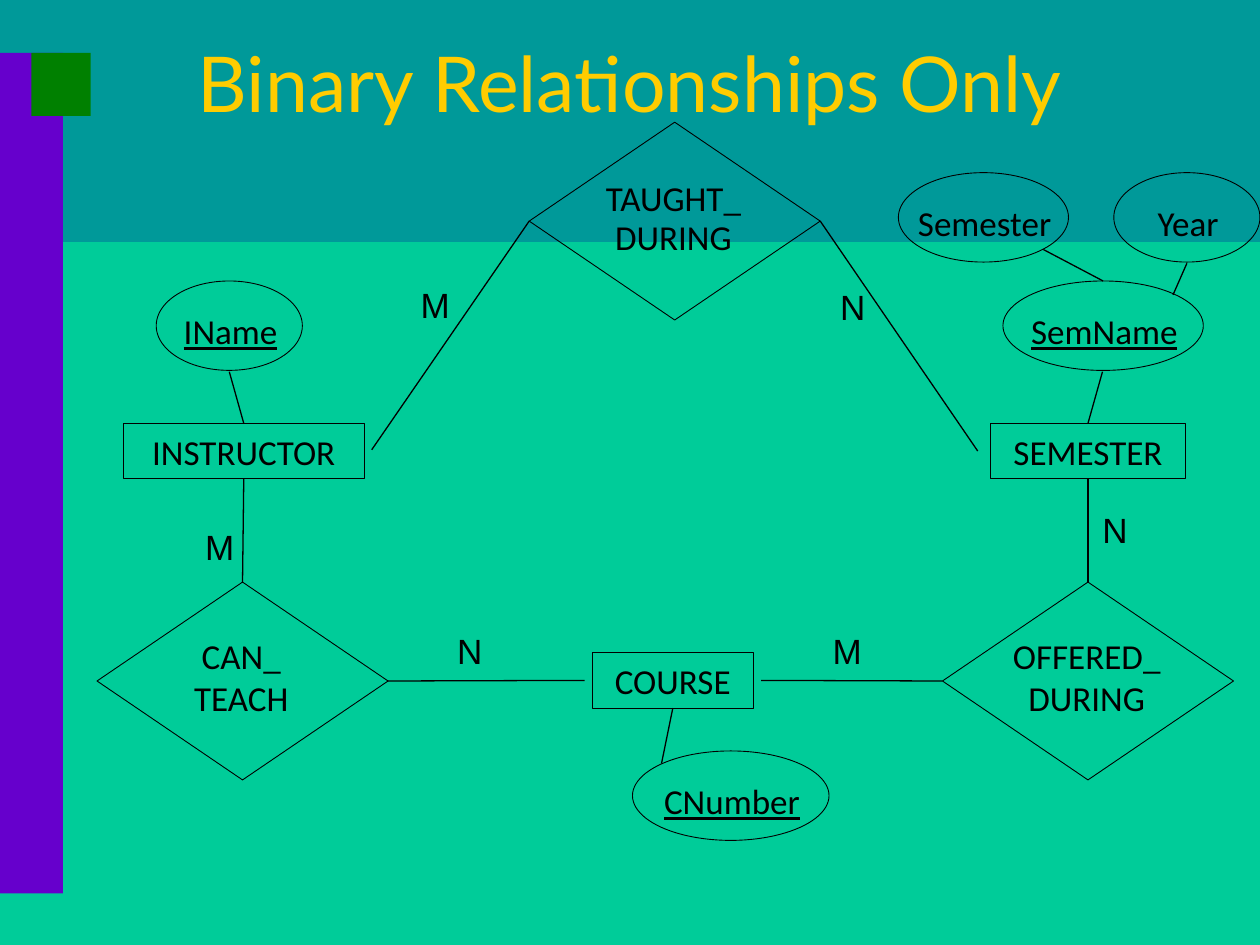
from dataclasses import dataclass

from lxml.etree import SubElement
from pptx import Presentation
from pptx.dml.color import RGBColor
from pptx.enum.shapes import MSO_CONNECTOR, MSO_SHAPE
from pptx.enum.text import MSO_ANCHOR, MSO_AUTO_SIZE, PP_ALIGN
from pptx.oxml.ns import qn
from pptx.util import Inches, Pt


@dataclass(frozen=True)
class Theme:
    background: RGBColor = RGBColor(0x00, 0xCC, 0x99)
    band: RGBColor = RGBColor(0x00, 0x99, 0x99)
    sidebar: RGBColor = RGBColor(0x66, 0x00, 0xCC)
    accent: RGBColor = RGBColor(0x00, 0x80, 0x00)
    title: RGBColor = RGBColor(0xFF, 0xCC, 0x00)
    ink: RGBColor = RGBColor(0x00, 0x00, 0x00)
    title_font: str = "Lato"
    label_font: str = "Calibri"
    cardinality_font: str = "Arial"
    title_size: Pt = Pt(44)
    text_size: Pt = Pt(20)
    outline: Pt = Pt(0.5)
    link: Pt = Pt(0.75)


THEME = Theme()
TOP, LEFT, BOTTOM, RIGHT = range(4)
LABEL_HEIGHT = 0.44


def inches(*values):
    return [Inches(value) for value in values]


def format_text(shape, font_name, alignment=PP_ALIGN.CENTER,
                size=THEME.text_size, color=THEME.ink, underline=None):
    for paragraph in shape.text_frame.paragraphs:
        paragraph.alignment = alignment
        for run in paragraph.runs:
            run.font.name = font_name
            run.font.size = size
            run.font.color.rgb = color
            run.font.underline = underline


def add_block(slide, box, color):
    """Plain filled rectangle of the slide design."""
    shape = slide.shapes.add_shape(MSO_SHAPE.RECTANGLE, *inches(*box))
    shape.shadow.inherit = False
    shape.fill.solid()
    shape.fill.fore_color.rgb = color
    shape.line.fill.background()


def add_outline(shapes, preset, box):
    shape = shapes.add_shape(preset, *inches(*box))
    shape.shadow.inherit = False
    shape.fill.background()
    shape.line.color.rgb = THEME.ink
    shape.line.width = THEME.outline
    return shape


def add_centered_label(shapes, text, box, width, height, shift_x, shift_y):
    """Text box centred on an outline, with a small optical shift."""
    left, top, outline_width, outline_height = box
    label = shapes.add_textbox(*inches(
        left + (outline_width - width) / 2 + shift_x,
        top + (outline_height - height) / 2 + shift_y, width, height))
    label.text_frame.word_wrap = False
    label.text_frame.vertical_anchor = MSO_ANCHOR.MIDDLE
    label.text_frame.text = text
    return label


def add_entity(slide, name, left, top, width):
    entity = add_outline(slide.shapes, MSO_SHAPE.RECTANGLE,
                         (left, top, width, LABEL_HEIGHT))
    entity.text_frame.word_wrap = False
    entity.text_frame.vertical_anchor = MSO_ANCHOR.MIDDLE
    entity.text_frame.text = name
    format_text(entity, THEME.label_font)
    return entity


def add_relationship(slide, name, left, top, label_width, label_height, spacing):
    group = slide.shapes.add_group_shape()
    box = (left, top, 2.31, 1.57)
    diamond = add_outline(group.shapes, MSO_SHAPE.FLOWCHART_DECISION, box)
    label = add_centered_label(group.shapes, name, box, label_width,
                               label_height, -0.01, -0.02)
    first, second = label.text_frame.paragraphs
    first.line_spacing = 0.8
    second.line_spacing = spacing
    second.space_before = Pt(12.5)
    format_text(label, THEME.label_font)
    return diamond


def add_attribute(slide, name, left, top, width, label_width, is_key):
    group = slide.shapes.add_group_shape()
    box = (left, top, width, 0.71)
    label = add_centered_label(group.shapes, name, box, label_width,
                               LABEL_HEIGHT, 0.01, 0.04)
    format_text(label, THEME.label_font, underline=is_key or None)
    return add_outline(group.shapes, MSO_SHAPE.OVAL, box)


def add_link(slide, start, end, begin_joint=None, end_joint=None):
    """Straight line; a joint is a (shape, side) pair."""
    link = slide.shapes.add_connector(MSO_CONNECTOR.STRAIGHT,
                                      *inches(*start, *end))
    link.line.color.rgb = THEME.ink
    link.line.width = THEME.link
    SubElement(link._element.spPr, qn("a:effectLst"))
    if begin_joint:
        link.begin_connect(*begin_joint)
    if end_joint:
        link.end_connect(*end_joint)


def add_cardinality(slide, letter, left, top):
    width = 0.43 if letter == "M" else 0.4
    label = slide.shapes.add_textbox(*inches(left, top, width, LABEL_HEIGHT))
    label.text_frame.word_wrap = False
    label.text_frame.text = letter
    format_text(label, THEME.cardinality_font, PP_ALIGN.LEFT)


def add_title(slide, text):
    title = slide.shapes.title
    title.left, title.top, title.width, title.height = inches(0, 0.38, 10, 0.54)
    title.text_frame.text = text
    title.text_frame.word_wrap = True
    title.text_frame.auto_size = MSO_AUTO_SIZE.NONE
    title.text_frame.vertical_anchor = MSO_ANCHOR.MIDDLE
    format_text(title, THEME.title_font, size=THEME.title_size, color=THEME.title)
    # Bring the title in front of the coloured band
    slide.shapes._spTree.append(title._element)


def main():
    presentation = Presentation()
    presentation.slide_width, presentation.slide_height = inches(10, 7.5)
    slide = presentation.slides.add_slide(presentation.slide_layouts[5])
    slide.background.fill.solid()
    slide.background.fill.fore_color.rgb = THEME.background

    # Slide design
    add_block(slide, (0, 0, 10, 1.92), THEME.band)
    add_block(slide, (0, 0.42, 0.5, 6.67), THEME.sidebar)
    add_block(slide, (0.25, 0.42, 0.47, 0.5), THEME.accent)

    # Relationships
    taught = add_relationship(slide, "TAUGHT_\nDURING", 4.2, 0.97, 1.42, 0.64, 0.3)
    teach = add_relationship(slide, "CAN_\nTEACH", 0.77, 4.62, 1.07, 0.68, 0.4)
    offered = add_relationship(slide, "OFFERED_\nDURING", 7.48, 4.62, 1.51, 0.68, 0.4)

    # Entities
    course = add_entity(slide, "COURSE", 4.7, 5.18, 1.28)
    semester = add_entity(slide, "SEMESTER", 7.86, 3.36, 1.55)
    instructor = add_entity(slide, "INSTRUCTOR", 0.98, 3.36, 1.91)

    # Attributes
    add_attribute(slide, "IName", 1.24, 2.23, 1.16, 1.08, True)
    semester_name = add_attribute(slide, "SemName", 7.96, 2.23, 1.59, 1.55, True)
    add_attribute(slide, "Semester", 7.13, 1.37, 1.35, 1.43, False)
    add_attribute(slide, "Year", 8.84, 1.37, 1.16, 0.78, False)
    add_attribute(slide, "CNumber", 5.02, 5.96, 1.56, 1.46, True)

    # Links
    for link in (
        ((1.82, 2.95), (1.93, 3.36), None, (instructor, TOP)),
        ((2.95, 3.57), (4.2, 1.75), None, (taught, LEFT)),
        ((6.5, 1.75), (7.76, 3.58), (taught, RIGHT), None),
        ((1.93, 3.8), (1.92, 4.62), (instructor, BOTTOM), (teach, TOP)),
        ((8.63, 3.8), (8.63, 4.62), (semester, BOTTOM), (offered, TOP)),
        ((3.08, 5.41), (4.64, 5.4), (teach, RIGHT), None),
        ((6.04, 5.4), (7.48, 5.4), None, (offered, LEFT)),
        ((5.34, 5.62), (5.25, 6.06), (course, BOTTOM), None),
        ((8.63, 3.36), (8.75, 2.95), (semester, TOP), None),
        ((8.28, 1.98), (8.75, 2.23), None, (semester_name, TOP)),
        ((9.31, 2.34), (9.42, 2.09), None, None),
    ):
        add_link(slide, *link)

    # Cardinalities
    for letter, left, top in (
        ("M", 3.24, 2.2), ("M", 1.53, 4.12), ("M", 6.51, 4.95),
        ("N", 6.57, 2.22), ("N", 3.53, 4.95), ("N", 8.65, 3.99),
    ):
        add_cardinality(slide, letter, left, top)

    add_title(slide, "Binary Relationships Only")
    presentation.save("out.pptx")


if __name__ == "__main__":
    main()
